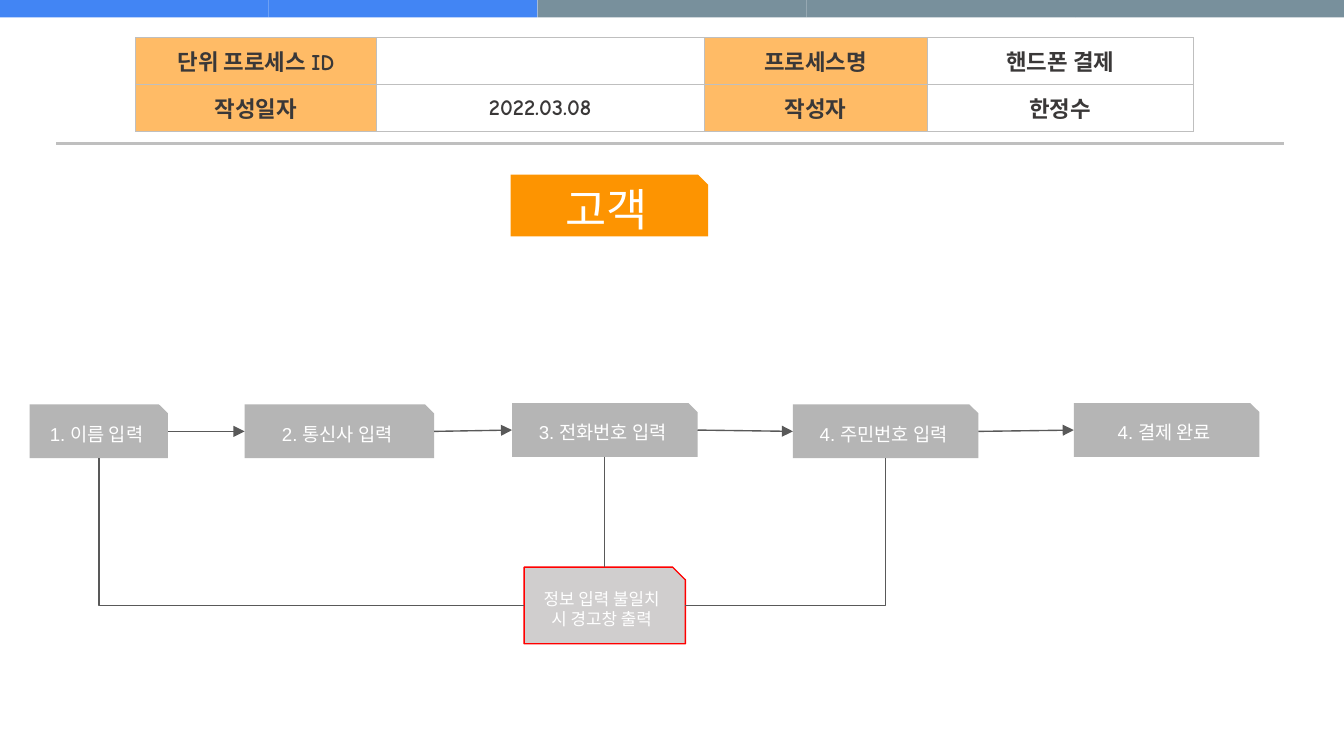
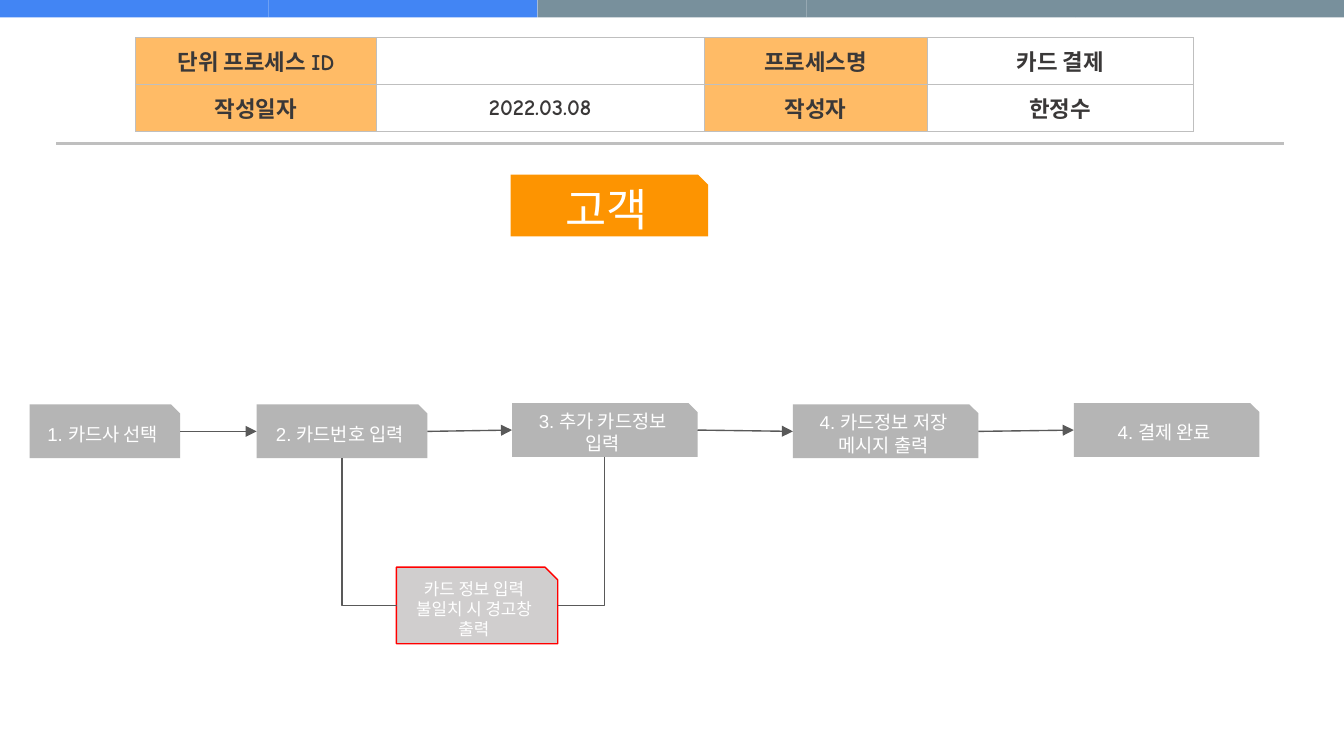
from dataclasses import dataclass

from lxml.etree import SubElement
from pptx import Presentation
from pptx.dml.color import RGBColor
from pptx.enum.shapes import MSO_CONNECTOR, MSO_SHAPE
from pptx.enum.text import MSO_ANCHOR, PP_ALIGN
from pptx.oxml.ns import qn
from pptx.util import Emu, Inches, Pt

TOP, LEFT, BOTTOM, RIGHT = range(4)


@dataclass(frozen=True)
class Theme:
    blue: str = "4285F4"
    slate: str = "78909C"
    rule: str = "BFBFBF"
    label_fill: str = "FFAB40"
    label_opacity: int = 80
    white: str = "FFFFFF"
    table_text: str = "3A3838"
    actor_fill: str = "FD9401"
    step_fill: str = "B5B5B5"
    warning_fill: str = "D0CECE"
    warning_line: str = "FF0000"
    connector: str = "595959"
    table_font: str = "Comic Neue"
    body_font: str = "Arial"
    table_size: int = 12
    actor_size: int = 24
    step_size: int = 10
    warning_size: int = 9
    thin: float = 0.75
    thick: float = 1.5


@dataclass(frozen=True)
class Process:
    name: str
    steps: tuple
    step_spans: tuple  # (left, width) of the first two steps
    warning: str
    warning_left: float
    warning_links: tuple  # (step index, side of the warning box)


THEME = Theme()
SLIDE_WIDTH = 10
BANDS = (THEME.blue,) * 2 + (THEME.slate,) * 3
COLUMN_WIDTHS = (1.79, 2.44, 1.66, 1.98)
ROW_HEIGHT = 0.35
STEP_HEIGHT = 0.4
STEP_TOPS = (3.01, 3.01, 3, 3.01, 3)
LAST_STEP_SPANS = ((3.81, 1.38), (5.9, 1.38), (7.99, 1.38))

PROCESSES = (
    Process(
        name="핸드폰 결제",
        steps=("1. 이름 입력", "2. 통신사 입력", "3. 전화번호 입력",
               "4. 주민번호 입력", "4. 결제 완료"),
        step_spans=((0.22, 1.03), (1.82, 1.41)),
        warning="정보 입력 불일치 시 경고창 출력",
        warning_left=3.9,
        warning_links=((0, LEFT), (2, TOP), (3, RIGHT)),
    ),
    Process(
        name="카드 결제",
        steps=("1. 카드사 선택", "2. 카드번호 입력", "3. 추가 카드정보\n입력",
               "4. 카드정보 저장 메시지 출력", "4. 결제 완료"),
        step_spans=((0.22, 1.12), (1.91, 1.27)),
        warning="카드 정보 입력 불일치 시 경고창 출력",
        warning_left=2.95,
        warning_links=((1, LEFT), (2, RIGHT)),
    ),
)


def color(value):
    return RGBColor.from_string(value)


def write_text(frame, text, font, size, text_color, bold=False):
    """Write centred text, one paragraph for each line."""
    frame.word_wrap = True
    for index, line in enumerate(text.split("\n")):
        paragraph = frame.add_paragraph() if index else frame.paragraphs[0]
        paragraph.alignment = PP_ALIGN.CENTER
        run = paragraph.add_run()
        run.text = line
        run.font.name = font
        run.font.size = Pt(size)
        run.font.bold = bold
        run.font.color.rgb = color(text_color)


def add_box(slide, kind, bounds, fill, line=None):
    shape = slide.shapes.add_shape(kind, *map(Inches, bounds))
    shape.shadow.inherit = False
    shape.fill.solid()
    shape.fill.fore_color.rgb = color(fill)
    if line:
        shape.line.color.rgb = color(line)
        shape.line.width = Pt(THEME.thin)
    else:
        shape.line.fill.background()
    return shape


def add_card(slide, bounds, text, size, fill, line=None):
    """Add a box with one snipped corner and centred text."""
    card = add_box(slide, MSO_SHAPE.SNIP_1_RECTANGLE, bounds, fill, line)
    card.text_frame.vertical_anchor = MSO_ANCHOR.MIDDLE
    write_text(card.text_frame, text, THEME.body_font, size, THEME.white)
    return card


def style_connector(connector, line, width, arrow=False):
    connector.line.color.rgb = color(line)
    connector.line.width = Pt(width)
    if arrow:
        SubElement(connector.line._get_or_add_ln(), qn("a:tailEnd"), type="triangle")
    SubElement(connector._element.spPr, qn("a:effectLst"))


def join(slide, start, start_side, end, end_side, arrow=False):
    connector = slide.shapes.add_connector(MSO_CONNECTOR.STRAIGHT, 0, 0, 0, 0)
    connector.begin_connect(start, start_side)
    connector.end_connect(end, end_side)
    style_connector(connector, THEME.connector, THEME.thin, arrow)
    return connector


def join_with_corner(slide, step, warning, side):
    """Run down from the step, then turn once into a side of the warning."""
    connector = join(slide, step, BOTTOM, warning, side)
    across, down = connector.width, connector.height
    center_x = connector.left + across // 2
    center_y = connector.top + down // 2
    # The preset bend goes across first, so its box is turned a quarter.
    connector.left, connector.top = Emu(center_x - down // 2), Emu(center_y - across // 2)
    connector.width, connector.height = down, across
    properties = connector._element.spPr
    properties.find(qn("a:prstGeom")).set("prst", "bentConnector2")
    transform = properties.find(qn("a:xfrm"))
    transform.attrib.pop("flipH", None)
    transform.set("rot", "16200000" if side == LEFT else "5400000")
    if side == LEFT:
        transform.set("flipH", "1")


def style_cell(cell, text, is_label):
    cell.vertical_anchor = MSO_ANCHOR.MIDDLE
    cell.margin_left = cell.margin_right = Inches(0.08)
    cell.margin_top = cell.margin_bottom = Inches(0.04)
    properties = cell._tc.get_or_add_tcPr()
    for edge in ("a:lnL", "a:lnR", "a:lnT", "a:lnB"):
        border = SubElement(properties, qn(edge), w=str(Pt(THEME.thin)))
        border_fill = SubElement(border, qn("a:solidFill"))
        SubElement(border_fill, qn("a:srgbClr"), val=THEME.rule)
    cell.fill.solid()
    cell.fill.fore_color.rgb = color(THEME.label_fill if is_label else THEME.white)
    if is_label:
        fill_color = properties.find(qn("a:solidFill")).find(qn("a:srgbClr"))
        SubElement(fill_color, qn("a:alpha"), val=str(THEME.label_opacity * 1000))
    if text:
        write_text(cell.text_frame, text, THEME.table_font, THEME.table_size,
                   THEME.table_text, bold=True)
    else:
        # An empty cell needs a type size too, or its row grows.
        SubElement(cell.text_frame.paragraphs[0]._p, qn("a:endParaRPr"),
                   sz=str(THEME.table_size * 100))


def add_process_table(slide, process_name):
    rows = (
        ("단위 프로세스 ID", "", "프로세스명", process_name),
        ("작성일자", "2022.03.08", "작성자", "한정수"),
    )
    bounds = (1.01, 0.28, sum(COLUMN_WIDTHS), ROW_HEIGHT * len(rows))
    table = slide.shapes.add_table(
        len(rows), len(COLUMN_WIDTHS), *map(Inches, bounds)).table
    table.first_row = table.horz_banding = False
    for column, width in zip(table.columns, COLUMN_WIDTHS):
        column.width = Inches(width)
    for row_index, row in enumerate(rows):
        table.rows[row_index].height = Inches(ROW_HEIGHT)
        for column_index, text in enumerate(row):
            style_cell(table.cell(row_index, column_index), text, column_index % 2 == 0)


def add_header(slide, process_name):
    band_width = SLIDE_WIDTH / len(BANDS)
    for index, fill in enumerate(BANDS):
        add_box(slide, MSO_SHAPE.RECTANGLE,
                (index * band_width, 0, band_width, 0.13), fill)
    divider = slide.shapes.add_connector(
        MSO_CONNECTOR.STRAIGHT, *map(Inches, (0.42, 1.07, 9.55, 1.07)))
    style_connector(divider, THEME.rule, THEME.thick)
    add_process_table(slide, process_name)
    add_card(slide, (3.8, 1.3, 1.47, 0.46), "고객", THEME.actor_size, THEME.actor_fill)


def add_flow(slide, process):
    spans = process.step_spans + LAST_STEP_SPANS
    steps = [
        add_card(slide, (left, top, width, STEP_HEIGHT), text,
                 THEME.step_size, THEME.step_fill)
        for (left, width), top, text in zip(spans, STEP_TOPS, process.steps)
    ]
    for step, following in zip(steps, steps[1:]):
        join(slide, step, RIGHT, following, LEFT, arrow=True)
    warning = add_card(slide, (process.warning_left, 4.22, 1.2, 0.57), process.warning,
                       THEME.warning_size, THEME.warning_fill, THEME.warning_line)
    for index, side in process.warning_links:
        if side == TOP:
            join(slide, steps[index], BOTTOM, warning, TOP)
        else:
            join_with_corner(slide, steps[index], warning, side)


def main():
    presentation = Presentation()
    presentation.slide_width = Inches(SLIDE_WIDTH)
    presentation.slide_height = Inches(SLIDE_WIDTH * 9 / 16)
    for process in PROCESSES:
        slide = presentation.slides.add_slide(presentation.slide_layouts[6])
        add_header(slide, process.name)
        add_flow(slide, process)
    presentation.save("out.pptx")


if __name__ == "__main__":
    main()
